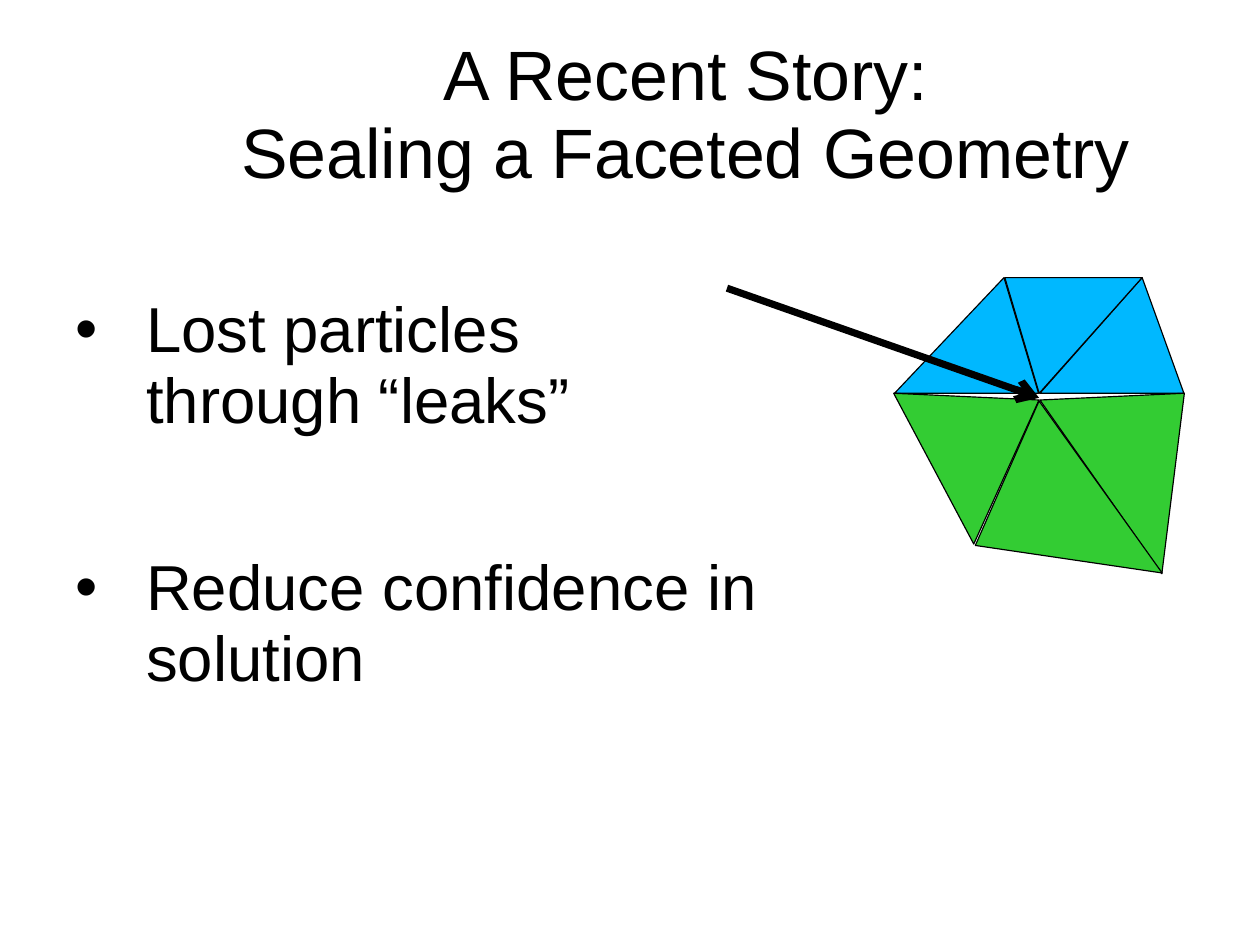
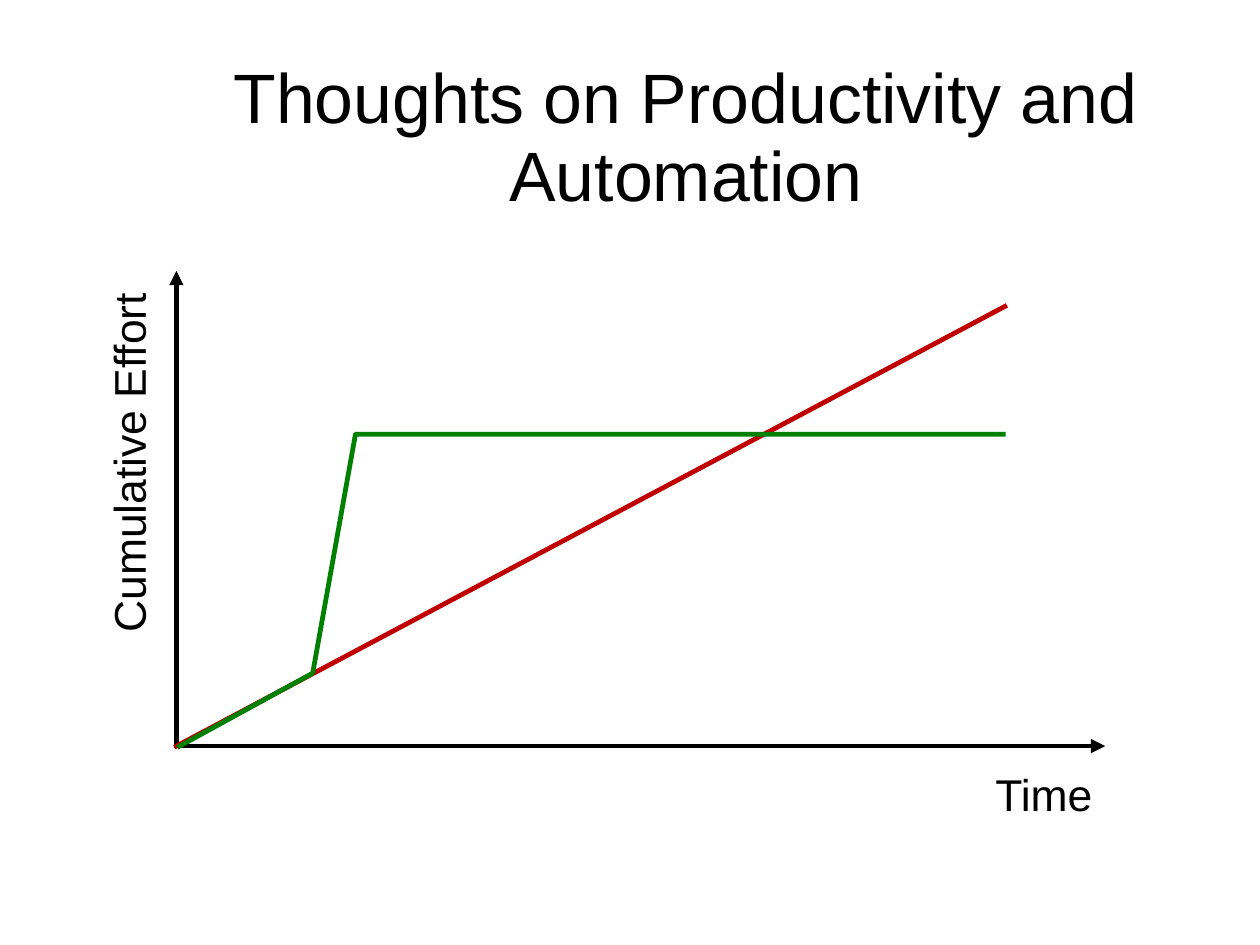
"""Two slides: leaks in a faceted geometry, and effort over time with automation."""
from dataclasses import dataclass

from lxml.etree import SubElement
from pptx import Presentation
from pptx.dml.color import RGBColor
from pptx.enum.shapes import MSO_CONNECTOR as Connector, MSO_SHAPE as Preset
from pptx.enum.text import MSO_ANCHOR as Anchor, PP_ALIGN as Align
from pptx.oxml.ns import qn
from pptx.shapes.autoshape import Shape
from pptx.slide import Slide
from pptx.text.text import _Paragraph as Paragraph
from pptx.util import Cm, Inches, Length, Pt

COLORS = {
    "ink": "000000",
    "upper": "00B8FF",
    "lower": "33CC33",
    "manual": "C00000",
    "automated": "008000",
}
FONT = "Arial"
LINE_SPACING = 0.93
CELL = 1
COLUMNS, ROWS = 28, 21
BODY_SIZE, BODY_INDENT = 40, 1.57
BULLET_GAP = 73.5
Point = tuple[float, float]


@dataclass(frozen=True)
class Box:
    """A rectangle in grid cells."""
    column: float
    row: float
    columns: float
    rows: float

    def lengths(self) -> list[Length]:
        """Return left, top, width and height."""
        return [cells(n) for n in (self.column, self.row, self.columns, self.rows)]


@dataclass(frozen=True)
class Facet:
    """A triangle with its apex given as a share of its width."""
    box: Box
    apex: float
    color: str
    turn: float = 0


@dataclass(frozen=True)
class Outline:
    """A path through grid points, closed when it has a fill."""
    points: tuple[Point, ...]
    fill: str | None = None
    color: str = "ink"
    weight: float = 0.75


@dataclass(frozen=True)
class Stroke:
    """A straight line between grid points."""
    start: Point
    end: Point
    color: str = "ink"
    weight: float = 3
    head: str | None = None


@dataclass(frozen=True)
class Label:
    """A single line of text beside an axis."""
    text: str
    box: Box
    turn: float = 0


BULLETS = (
    ("Lost particles", "through “leaks”"),
    ("Reduce confidence in", "solution"),
)
HUB, LEFT, RIGHT = (23.11, 8.89), (19.86, 8.74), (26.32, 8.74)
MESH = (
    Facet(Box(19.88, 6.17, 3.2, 2.57), 0.76, "upper"),
    Facet(Box(23.11, 6.17, 3.2, 2.57), 0.71, "upper"),
    Outline((LEFT, (21.64, 12.09), (23.09, 8.89)), "lower"),
    Outline((HUB, (25.82, 12.75), RIGHT), "lower"),
    Facet(Box(22.33, 6.17, 3.05, 2.57), 0.75, "upper", 180),
    Facet(Box(20.88, 10.19, 4.7, 3.02), 0.62, "lower", 234.4),
)
PARTICLE = Stroke((16.23, 6.43), (23.09, 8.84), weight=4.5, head="arrow")

ORIGIN = (3.92, 16.58)
AXES = (
    Stroke(ORIGIN, (3.92, 6.02), head="triangle"),
    Stroke(ORIGIN, (24.56, 16.58), head="triangle"),
)
LABELS = (
    Label("Time", Box(21.87, 17.02, 2.69, 1.37)),
    Label("Cumulative Effort", Box(-1.12, 9.58, 8.08, 1.37), 270),
)
MANUAL = Stroke(ORIGIN, (22.33, 6.81), "manual")
AUTOMATED = Outline(
    ((3.94, 16.61), (6.95, 14.96), (7.9, 9.65), (22.35, 9.65)),
    color="automated", weight=3,
)


def cells(count: float) -> Length:
    """Turn grid cells into a length."""
    return Cm(count * CELL)


def color_of(name: str) -> RGBColor:
    """Look up a colour by name."""
    return RGBColor.from_string(COLORS[name])


def add_text_box(page: Slide, box: Box, inset: float, wrap: bool = True) -> Shape:
    """Add an empty text box with even insets."""
    shape = page.shapes.add_textbox(*box.lengths())
    frame = shape.text_frame
    frame.word_wrap = wrap
    frame.margin_left = frame.margin_right = Inches(inset)
    frame.margin_top = frame.margin_bottom = Inches(inset / 2)
    return shape


def write(para: Paragraph, lines: tuple[str, ...], size: float) -> None:
    """Write lines as runs of one paragraph."""
    para.line_spacing = LINE_SPACING
    for index, line in enumerate(lines):
        if index:
            para.add_line_break()
        span = para.add_run()
        span.text = line
        span.font.name, span.font.size = FONT, Pt(size)
        span.font.color.rgb = color_of("ink")


def add_title(page: Slide, lines: tuple[str, ...], row: float) -> None:
    """Add the centred slide title."""
    frame = add_text_box(page, Box(3.91, row, 22.68, 3.73), 0.11).text_frame
    frame.vertical_anchor = Anchor.MIDDLE
    para = frame.paragraphs[0]
    para.alignment = Align.CENTER
    write(para, lines, 44)


def add_bullets(page: Slide, items: tuple[tuple[str, ...], ...]) -> None:
    """Add the bulleted body text."""
    frame = add_text_box(page, Box(1.4, 6.43, 25.2, 11.84), 0.11).text_frame
    for index, lines in enumerate(items):
        para = frame.add_paragraph() if index else frame.paragraphs[0]
        write(para, lines, BODY_SIZE)
        if index:
            para.space_before = Pt(BULLET_GAP)
        properties = para._p.get_or_add_pPr()
        properties.set("marL", str(cells(BODY_INDENT)))
        properties.set("indent", str(-cells(BODY_INDENT)))
        SubElement(properties, qn("a:buFont")).set("typeface", FONT)
        SubElement(properties, qn("a:buChar")).set("char", "•")


def add_label(page: Slide, label: Label) -> None:
    """Add an axis label."""
    shape = add_text_box(page, label.box, 0.1, wrap=False)
    shape.rotation = label.turn
    write(shape.text_frame.paragraphs[0], (label.text,), 28)


def paint(shape: Shape, fill: str | None, color: str, weight: float) -> None:
    """Set fill and line, and drop the shadow."""
    shape.shadow.inherit = False
    if fill:
        shape.fill.solid()
        shape.fill.fore_color.rgb = color_of(fill)
    else:
        shape.fill.background()
    shape.line.color.rgb = color_of(color)
    shape.line.width = Pt(weight)


def add_facet(page: Slide, facet: Facet) -> None:
    """Add a triangle of the mesh."""
    shape = page.shapes.add_shape(Preset.ISOSCELES_TRIANGLE, *facet.box.lengths())
    shape.adjustments[0] = facet.apex
    shape.rotation = facet.turn
    paint(shape, facet.color, "ink", 0.75)


def add_outline(page: Slide, outline: Outline) -> None:
    """Add a freeform path."""
    first, *rest = [(cells(x), cells(y)) for x, y in outline.points]
    builder = page.shapes.build_freeform(*first)
    builder.add_line_segments(rest, close=outline.fill is not None)
    paint(builder.convert_to_shape(), outline.fill, outline.color, outline.weight)


def add_stroke(page: Slide, stroke: Stroke) -> None:
    """Add a square-ended line with an optional arrowhead."""
    ends = [cells(n) for n in stroke.start + stroke.end]
    line = page.shapes.add_connector(Connector.STRAIGHT, *ends)
    line.line.color.rgb = color_of(stroke.color)
    line.line.width = Pt(stroke.weight)
    properties = line._element.spPr
    pen = properties.find(qn("a:ln"))
    pen.set("cap", "sq")
    if stroke.head:
        SubElement(pen, qn("a:tailEnd")).set("type", stroke.head)
    SubElement(properties, qn("a:effectLst"))


def build_geometry(page: Slide) -> None:
    """Draw the slide on sealing a faceted geometry."""
    add_title(page, ("A Recent Story:", "Sealing a Faceted Geometry"), 0.71)
    add_bullets(page, BULLETS)
    for part in MESH:
        if isinstance(part, Facet):
            add_facet(page, part)
        else:
            add_outline(page, part)
    add_stroke(page, PARTICLE)


def build_productivity(page: Slide) -> None:
    """Draw the slide on effort with and without automation."""
    add_title(page, ("Thoughts on Productivity and Automation",), 1.22)
    for axis in AXES:
        add_stroke(page, axis)
    for label in LABELS:
        add_label(page, label)
    add_stroke(page, MANUAL)
    add_outline(page, AUTOMATED)


def main() -> None:
    """Build and save the deck."""
    deck = Presentation()
    deck.slide_width, deck.slide_height = cells(COLUMNS), cells(ROWS)
    for build in (build_geometry, build_productivity):
        build(deck.slides.add_slide(deck.slide_layouts[6]))
    deck.save("out.pptx")


if __name__ == "__main__":
    main()
